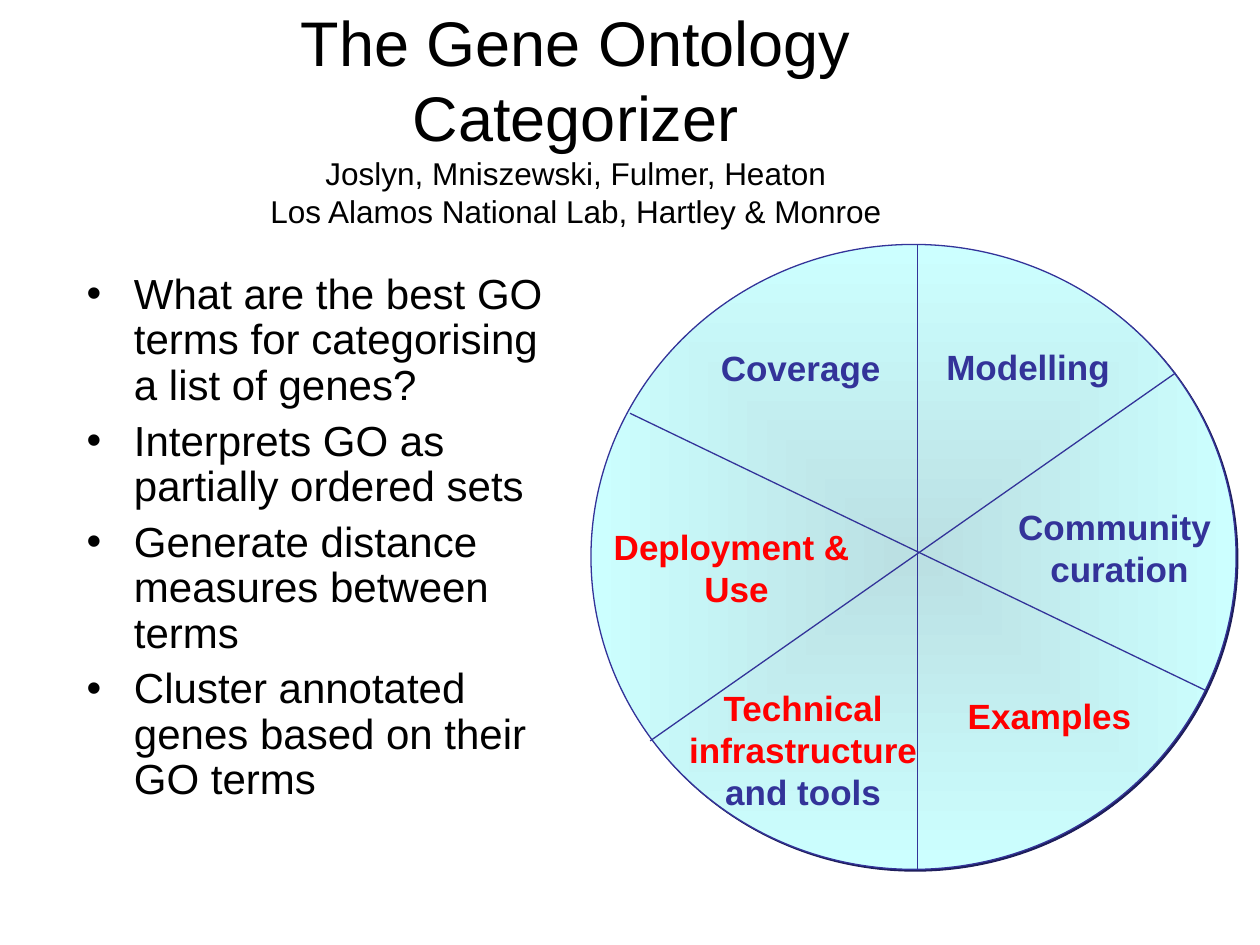
from dataclasses import dataclass
from typing import Any

import lxml.etree
import pptx
import pptx.dml.color
import pptx.enum.dml
import pptx.enum.shapes
import pptx.enum.text
import pptx.oxml.ns
import pptx.util

COLS, ROWS = 100, 75


@dataclass(frozen=True)
class Theme:
    font: str = "Arial"
    ink: str = "000000"
    blue: str = "333399"
    red: str = "FF0000"
    core: str = "BBE0E3"
    rim: str = "CCFFFF"
    shade: str = "1E1E5B"
    head: int = 36
    sub: int = 18
    body: int = 24
    label: int = 20
    line: float = 0.75


@dataclass(frozen=True)
class Box:
    col: float
    row: float
    wide: float
    high: float


@dataclass(frozen=True)
class Spoke:
    col: float
    row: float
    to_col: float
    to_row: float


@dataclass(frozen=True)
class Label:
    box: Box
    lines: list[list[tuple[str, str]]]
    wrap: bool = False


LOOK = Theme()
TITLE = Box(14.6, 3, 62.2, 12.5)
BODY = Box(5.9, 21.2, 39.4, 45.4)
WHEEL = Box(46.9, 19.4, 51.2, 49.6)
HEADS = [
    ("The Gene Ontology Categorizer", LOOK.head),
    ("Joslyn, Mniszewski, Fulmer, Heaton", LOOK.sub),
    ("Los Alamos National Lab, Hartley & Monroe", LOOK.sub),
]
POINTS = [
    "What are the best GO terms for categorising a list of genes?",
    "Interprets GO as partially ordered sets",
    "Generate distance measures between terms",
    "Cluster annotated genes based on their GO terms",
]
SPOKES = [
    Spoke(72.8, 19.4, 72.8, 69),
    Spoke(50, 32.8, 95.7, 54.8),
    Spoke(93.3, 29.6, 51.6, 58.8),
]
LABELS = [
    Label(Box(56.2, 27, 14.7, 4.4), [[("Coverage", LOOK.blue)]]),
    Label(Box(74.1, 26.9, 15, 4.4), [[("Modelling", LOOK.blue)]]),
    Label(Box(47.7, 41.2, 21.5, 7.7),
          [[("Deployment & ", LOOK.red)], [("Use", LOOK.red)]]),
    Label(Box(79.8, 39.6, 18.1, 7.7),
          [[("Community ", LOOK.blue)], [("curation", LOOK.blue)]]),
    Label(Box(53.1, 54, 21.3, 11),
          [[("Technical infrastructure", LOOK.red), (" and tools", LOOK.blue)]], True),
    Label(Box(75.8, 54.6, 15, 4.4), [[("Examples", LOOK.red)]]),
]

deck = pptx.Presentation()
deck.slide_width = pptx.util.Inches(10)
deck.slide_height = pptx.util.Inches(7.5)


def across(cols: float) -> int:
    return round(deck.slide_width * cols / COLS)


def down(rows: float) -> int:
    return round(deck.slide_height * rows / ROWS)


def place(box: Box) -> tuple[int, int, int, int]:
    return across(box.col), down(box.row), across(box.wide), down(box.high)


def tint(code: str) -> pptx.dml.color.RGBColor:
    return pptx.dml.color.RGBColor.from_string(code)


def add_tag(node: Any, tag: str, **attrs: str) -> Any:
    return lxml.etree.SubElement(node, pptx.oxml.ns.qn(tag), attrs)


def add_run(para: Any, text: str, size: float, color: str, bold: bool = False) -> None:
    run = para.add_run()
    run.text = text
    run.font.name = LOOK.font
    run.font.size = pptx.util.Pt(size)
    run.font.bold = bold
    run.font.color.rgb = tint(color)


def add_text(shapes: Any, box: Box, wrap: bool = True) -> Any:
    frame = shapes.add_textbox(*place(box)).text_frame
    frame.word_wrap = wrap
    return frame


def next_para(frame: Any, index: int) -> Any:
    return frame.add_paragraph() if index else frame.paragraphs[0]


def draw_title(shapes: Any) -> None:
    frame = add_text(shapes, TITLE)
    frame.vertical_anchor = pptx.enum.text.MSO_ANCHOR.MIDDLE
    para = frame.paragraphs[0]
    para.alignment = pptx.enum.text.PP_ALIGN.CENTER
    for index, (text, size) in enumerate(HEADS):
        if index:
            para.add_line_break()
        add_run(para, text, size, LOOK.ink)


def draw_points(shapes: Any) -> None:
    frame = add_text(shapes, BODY)
    hang = across(3.75)
    for index, text in enumerate(POINTS):
        para = next_para(frame, index)
        para.line_spacing = 0.9
        para.space_before = pptx.util.Pt(6 if index else 0)
        props = para._p.get_or_add_pPr()
        props.set("marL", str(hang))
        props.set("indent", str(-hang))
        add_tag(props, "a:buFont", typeface=LOOK.font)
        add_tag(props, "a:buChar", char="•")
        add_run(para, text, LOOK.body, LOOK.ink)


def draw_disc(shapes: Any) -> None:
    disc = shapes.add_shape(pptx.enum.shapes.MSO_SHAPE.OVAL, *place(WHEEL))
    disc.fill.gradient()
    for stop, color, spot in zip(disc.fill.gradient_stops, (LOOK.core, LOOK.rim), (0, 1)):
        stop.color.rgb = tint(color)
        stop.position = spot
    props = disc._element.spPr
    grad = props.find(pptx.oxml.ns.qn("a:gradFill"))
    grad.remove(grad.find(pptx.oxml.ns.qn("a:lin")))
    route = add_tag(grad, "a:path", path="rect")
    add_tag(route, "a:fillToRect", **dict.fromkeys("ltrb", "50000"))
    disc.line.color.rgb = tint(LOOK.blue)
    disc.line.width = pptx.util.Pt(LOOK.line)
    disc.shadow.inherit = False
    glow = add_tag(props.find(pptx.oxml.ns.qn("a:effectLst")), "a:outerShdw",
                   dist=str(pptx.util.Pt(1.4)), dir="2700000", algn="ctr", rotWithShape="0")
    add_tag(glow, "a:srgbClr", val=LOOK.shade)


def draw_spoke(shapes: Any, spoke: Spoke) -> None:
    line = shapes.add_connector(
        pptx.enum.shapes.MSO_CONNECTOR.STRAIGHT,
        across(spoke.col), down(spoke.row), across(spoke.to_col), down(spoke.to_row))
    line.line.color.rgb = tint(LOOK.blue)
    line.line.width = pptx.util.Pt(LOOK.line)
    add_tag(line._element.spPr, "a:effectLst")


def draw_label(shapes: Any, label: Label) -> None:
    frame = add_text(shapes, label.box, label.wrap)
    frame.auto_size = pptx.enum.text.MSO_AUTO_SIZE.SHAPE_TO_FIT_TEXT
    for index, runs in enumerate(label.lines):
        para = next_para(frame, index)
        para.alignment = pptx.enum.text.PP_ALIGN.CENTER
        for text, color in runs:
            add_run(para, text, LOOK.label, color, True)


def main() -> None:
    shapes = deck.slides.add_slide(deck.slide_layouts[6]).shapes
    draw_title(shapes)
    wheel = shapes.add_group_shape().shapes
    draw_disc(wheel)
    for spoke in SPOKES:
        draw_spoke(wheel, spoke)
    for label in LABELS:
        draw_label(wheel, label)
    draw_points(shapes)
    deck.save("out.pptx")


if __name__ == "__main__":
    main()
